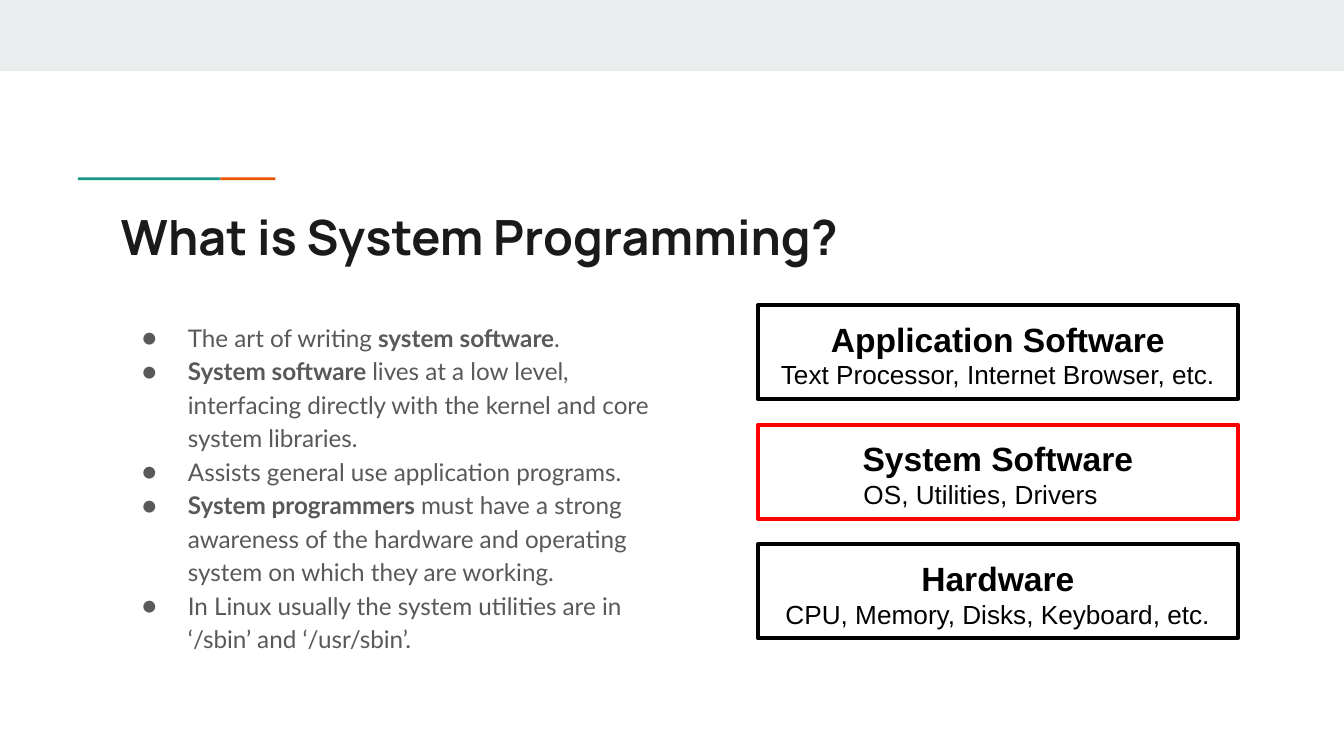
from lxml.etree import SubElement
from pptx import Presentation
from pptx.dml.color import RGBColor
from pptx.enum.shapes import MSO_SHAPE
from pptx.enum.text import MSO_ANCHOR, PP_ALIGN
from pptx.oxml.ns import qn
from pptx.util import Inches, Pt

COLORS = {
    "band": "E9EDEE",
    "teal": "1A9988",
    "orange": "EB5600",
    "title": "1A1A1A",
    "body": "595959",
    "black": "000000",
    "red": "FF0000",
}

POINTS = [
    [("The art of writing ", False), ("system software", True), (".", False)],
    [("System software", True),
     (" lives at a low level, interfacing directly with the kernel and core system libraries.", False)],
    [("Assists general use application programs.", False)],
    [("System programmers", True),
     (" must have a strong awareness of the hardware and operating system on which they are working.", False)],
    [("In Linux usually the system utilities are in ‘/sbin’ and ‘/usr/sbin’.", False)],
]

LAYERS = [
    ("Application Software", "Text Processor, Internet Browser, etc.", "black"),
    ("System Software", "OS, Utilities, Drivers\t", "red"),
    ("Hardware", "CPU, Memory, Disks, Keyboard, etc.", "black"),
]


def color(name):
    return RGBColor.from_string(COLORS[name])


def add_rect(slide, left, top, width, height, fill=None, line=None):
    rect = slide.shapes.add_shape(
        MSO_SHAPE.RECTANGLE, Inches(left), Inches(top), Inches(width), Inches(height))
    rect.shadow.inherit = False
    if fill:
        rect.fill.solid()
        rect.fill.fore_color.rgb = color(fill)
    else:
        rect.fill.background()
    if line:
        rect.line.color.rgb = color(line)
        rect.line.width = Pt(2.25)
    else:
        rect.line.fill.background()
    return rect


def add_frame(slide, left, top, width, height):
    return slide.shapes.add_textbox(
        Inches(left), Inches(top), Inches(width), Inches(height)).text_frame


def prepare_frame(frame):
    frame.word_wrap = True
    frame.vertical_anchor = MSO_ANCHOR.TOP
    frame.margin_left = frame.margin_right = Inches(0.1)
    frame.margin_top = frame.margin_bottom = Inches(0.1)


def write(paragraph, text, size, font, ink, bold=False):
    run = paragraph.add_run()
    run.text = text
    run.font.size = Pt(size)
    run.font.name = font
    run.font.bold = bold
    run.font.color.rgb = color(ink)


def add_bullet(paragraph, ink):
    properties = paragraph._p.get_or_add_pPr()
    properties.set("marL", str(Inches(0.5)))
    properties.set("indent", str(Inches(-0.34)))
    bullet_color = SubElement(properties, qn("a:buClr"))
    SubElement(bullet_color, qn("a:srgbClr"), val=COLORS[ink])
    SubElement(properties, qn("a:buFont"), typeface="Lato")
    SubElement(properties, qn("a:buChar"), char="●")


def next_paragraph(frame, index):
    return frame.add_paragraph() if index else frame.paragraphs[0]


def draw_accent(slide, left, top, width, height):
    orange_width = 0.41
    teal_width = width - orange_width
    add_rect(slide, left, top, teal_width, height, fill="teal")
    add_rect(slide, left + teal_width, top, orange_width, height, fill="orange")


def draw_title(slide, left, top, width, height):
    title = add_frame(slide, left, top, width, height)
    prepare_frame(title)
    write(title.paragraphs[0], "What is System Programming?", 26, "Manrope", "title", bold=True)


def draw_points(slide, left, top, width, height):
    body = add_frame(slide, left, top, width, height)
    prepare_frame(body)
    for index, point in enumerate(POINTS):
        paragraph = next_paragraph(body, index)
        paragraph.line_spacing = 1.15
        add_bullet(paragraph, "body")
        for text, bold in point:
            write(paragraph, text, 13, "Lato", "body", bold=bold)


def draw_layers(slide, left, top, width, height):
    layer_height = 0.7
    pitch = (height - layer_height) / (len(LAYERS) - 1)
    for row, (name, examples, outline) in enumerate(LAYERS):
        layer = add_rect(slide, left, top + row * pitch, width, layer_height, line=outline)
        frame = layer.text_frame
        prepare_frame(frame)
        for index, (text, size, bold) in enumerate([(name, 18, True), (examples, 14, False)]):
            paragraph = next_paragraph(frame, index)
            paragraph.alignment = PP_ALIGN.CENTER
            write(paragraph, text, size, "Arial", "black", bold=bold)


def main():
    presentation = Presentation()
    presentation.slide_width = Inches(10)
    presentation.slide_height = Inches(10 * 9 / 16)
    slide = presentation.slides.add_slide(presentation.slide_layouts[6])
    add_rect(slide, 0, 0, 10, 0.53, fill="band")
    draw_accent(slide, 0.58, 1.32, 1.47, 0.02)
    draw_title(slide, 0.8, 1.44, 8.41, 0.59)
    draw_points(slide, 0.8, 2.27, 4.13, 2.9)
    draw_layers(slide, 5.64, 2.27, 3.57, 2.48)
    presentation.save("out.pptx")


if __name__ == "__main__":
    main()
